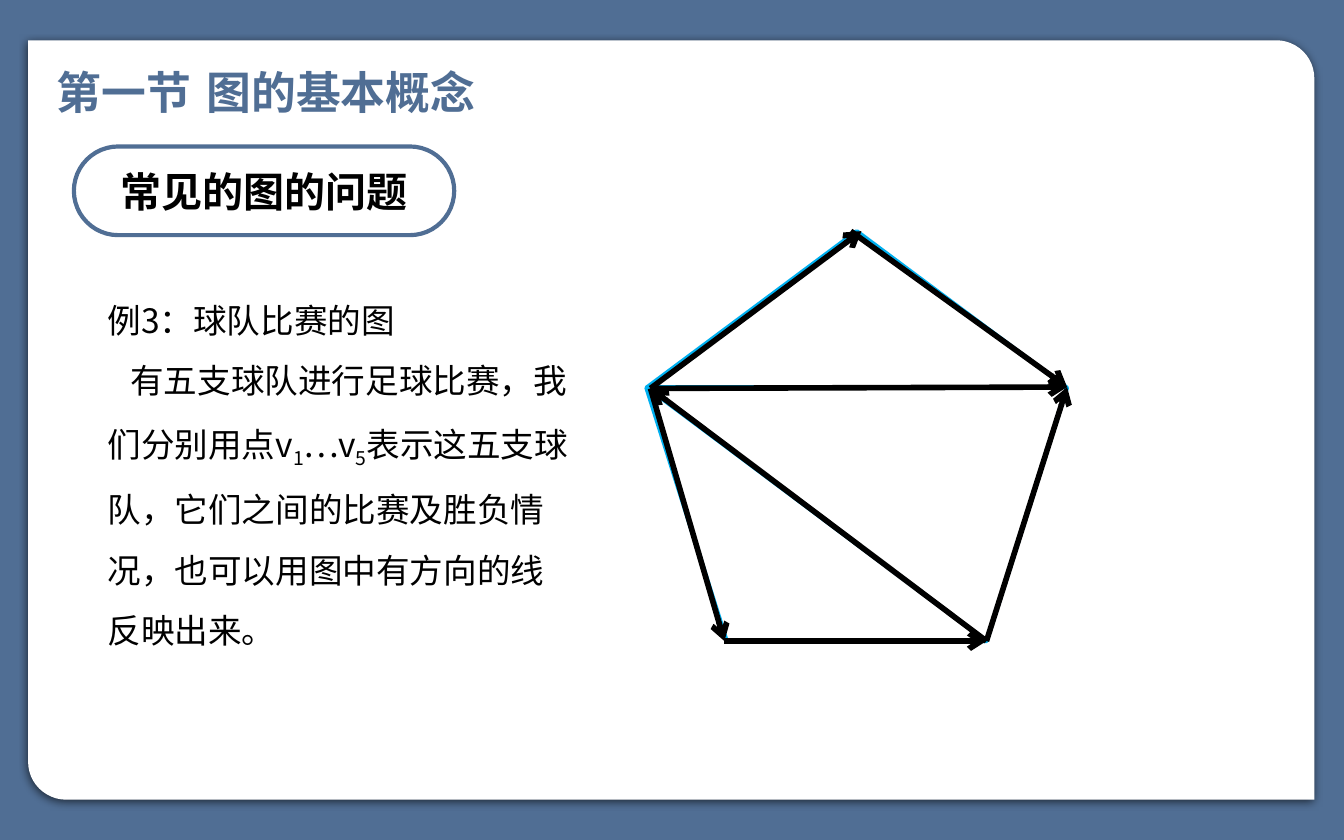
import pptx
import pptx.util
import pptx.dml.color
import pptx.enum.shapes
import pptx.enum.text
import pptx.oxml
import pptx.oxml.ns

THEME = {
    "blue": pptx.dml.color.RGBColor.from_string("506E94"),
    "cyan": pptx.dml.color.RGBColor.from_string("00B0F0"),
    "white": pptx.dml.color.RGBColor.from_string("FFFFFF"),
    "black": pptx.dml.color.RGBColor.from_string("000000"),
    "heading_font": "DejaVu Sans",
    "body_font": "Noto Sans CJK SC",
    "title_size": 24,
    "label_size": 22,
    "body_size": 18,
    "outline": 2.25,
    "arrow": 3,
}

presentation = pptx.Presentation()
presentation.slide_width = pptx.util.Inches(10)
presentation.slide_height = pptx.util.Inches(6.25)
column = presentation.slide_width / 100
row = presentation.slide_height / 62.5


def grid(*cells):
    return [round(cell * (row if index % 2 else column)) for index, cell in enumerate(cells)]


def write(paragraph, text, font="heading_font", size="body_size", color="black", bold=False, baseline=0):
    run = paragraph.add_run()
    run.text = text
    run.font.size = pptx.util.Pt(THEME[size])
    run.font.bold = bold
    run.font.color.rgb = THEME[color]
    run.font.name = THEME[font]
    properties = run.font._element
    east_asian = pptx.oxml.parse_xml(f'<a:ea {pptx.oxml.ns.nsdecls("a")} typeface="{THEME[font]}"/>')
    properties.find(pptx.oxml.ns.qn("a:latin")).addnext(east_asian)
    if baseline:
        properties.set("baseline", str(baseline * 1000))


slide = presentation.slides.add_slide(presentation.slide_layouts[1])
slide.background.fill.solid()
slide.background.fill.fore_color.rgb = THEME["blue"]
title, body = slide.placeholders

shape_kinds = pptx.enum.shapes.MSO_SHAPE
shapes = []
for kind, box, outline in [
    (shape_kinds.ROUND_2_DIAG_RECTANGLE, (2.1, 3, 95.7, 56.5), None),
    (shape_kinds.ROUNDED_RECTANGLE, (5.5, 10.9, 28.3, 6.6), "blue"),
    (shape_kinds.REGULAR_PENTAGON, (48.1, 17.2, 31.3, 30.5), "cyan"),
]:
    shape = slide.shapes.add_shape(kind, *grid(*box))
    shape.shadow.inherit = False
    shape.fill.solid()
    shape.fill.fore_color.rgb = THEME["white"]
    if outline:
        shape.line.color.rgb = THEME[outline]
        shape.line.width = pptx.util.Pt(THEME["outline"])
    else:
        shape.line.fill.background()
    shapes.append(shape)
panel, label, pentagon = shapes

panel.adjustments[0] = 0.05
panel.adjustments[1] = 0
panel._element.spPr.find(pptx.oxml.ns.qn("a:xfrm")).set("flipH", "1")
panel._element.spPr.find(pptx.oxml.ns.qn("a:effectLst")).append(pptx.oxml.parse_xml(
    f'<a:outerShdw {pptx.oxml.ns.nsdecls("a")} blurRad="57150" dist="19050" dir="5400000" '
    'algn="ctr" rotWithShape="0"><a:srgbClr val="000000"><a:alpha val="63000"/></a:srgbClr></a:outerShdw>'
))
title._element.addprevious(panel._element)

title.left, title.top, title.width, title.height = grid(3.2, 4.3, 42.4, 5)
title.text_frame.auto_size = pptx.enum.text.MSO_AUTO_SIZE.NONE
title.text_frame.vertical_anchor = pptx.enum.text.MSO_ANCHOR.TOP
title.text_frame.paragraphs[0].alignment = pptx.enum.text.PP_ALIGN.LEFT
write(title.text_frame.paragraphs[0], "第一节 图的基本概念", size="title_size", color="blue", bold=True)

label.adjustments[0] = 0.5
label.text_frame.word_wrap = False
label.text_frame.vertical_anchor = pptx.enum.text.MSO_ANCHOR.MIDDLE
label.text_frame.paragraphs[0].alignment = pptx.enum.text.PP_ALIGN.CENTER
write(label.text_frame.paragraphs[0], "常见的图的问题", size="label_size", bold=True)

left, right = (48.1, 28.8), (79.4, 28.8)
hub = (48.4, 28.9)
lower_left, lower_right = (53.9, 47.7), (73.4, 47.7)
diagonals = [(left, right), (left, lower_right)]
matches = [
    (hub, (64.1, 17.2)),
    ((63.3, 17.2), right),
    (hub, right),
    (lower_right, right),
    (lower_right, hub),
    (hub, lower_left),
    (lower_left, lower_right),
]
for start, end in diagonals + matches:
    is_match = (start, end) in matches
    connector = slide.shapes.add_connector(pptx.enum.shapes.MSO_CONNECTOR.STRAIGHT, *grid(*start, *end))
    connector.line.color.rgb = THEME["black" if is_match else "cyan"]
    connector.line.width = pptx.util.Pt(THEME["arrow" if is_match else "outline"])
    if is_match:
        connector.line._get_or_add_ln().append(
            pptx.oxml.parse_xml(f'<a:tailEnd {pptx.oxml.ns.nsdecls("a")} type="arrow"/>')
        )
    connector._element.spPr.append(pptx.oxml.parse_xml(f'<a:effectLst {pptx.oxml.ns.nsdecls("a")}/>'))

body.left, body.top, body.width, body.height = grid(7, 20.3, 36.7, 28.3)
body.text_frame.auto_size = pptx.enum.text.MSO_AUTO_SIZE.NONE
body.text_frame.word_wrap = True
body_paragraphs = [
    (0, [("例3：球队比赛的图", 0)]),
    (1.7, [
        ("有五支球队进行足球比赛，我们分别用点v", 0),
        ("1", -25),
        ("…v", 0),
        ("5", -25),
        ("表示这五支球队，它们之间的比赛及胜负情况，也可以用图中有方向的线反映出来。", 0),
    ]),
]
for index, (indent, runs) in enumerate(body_paragraphs):
    paragraph = body.text_frame.add_paragraph() if index else body.text_frame.paragraphs[0]
    properties = paragraph._p.get_or_add_pPr()
    properties.set("marL", "0")
    properties.set("indent", str(round(indent * column)))
    properties.append(pptx.oxml.parse_xml(f'<a:buNone {pptx.oxml.ns.nsdecls("a")}/>'))
    paragraph.line_spacing = 1.5
    paragraph.space_before = pptx.util.Pt(0)
    for text, baseline in runs:
        write(paragraph, text, font="body_font", baseline=baseline)

presentation.save("out.pptx")
